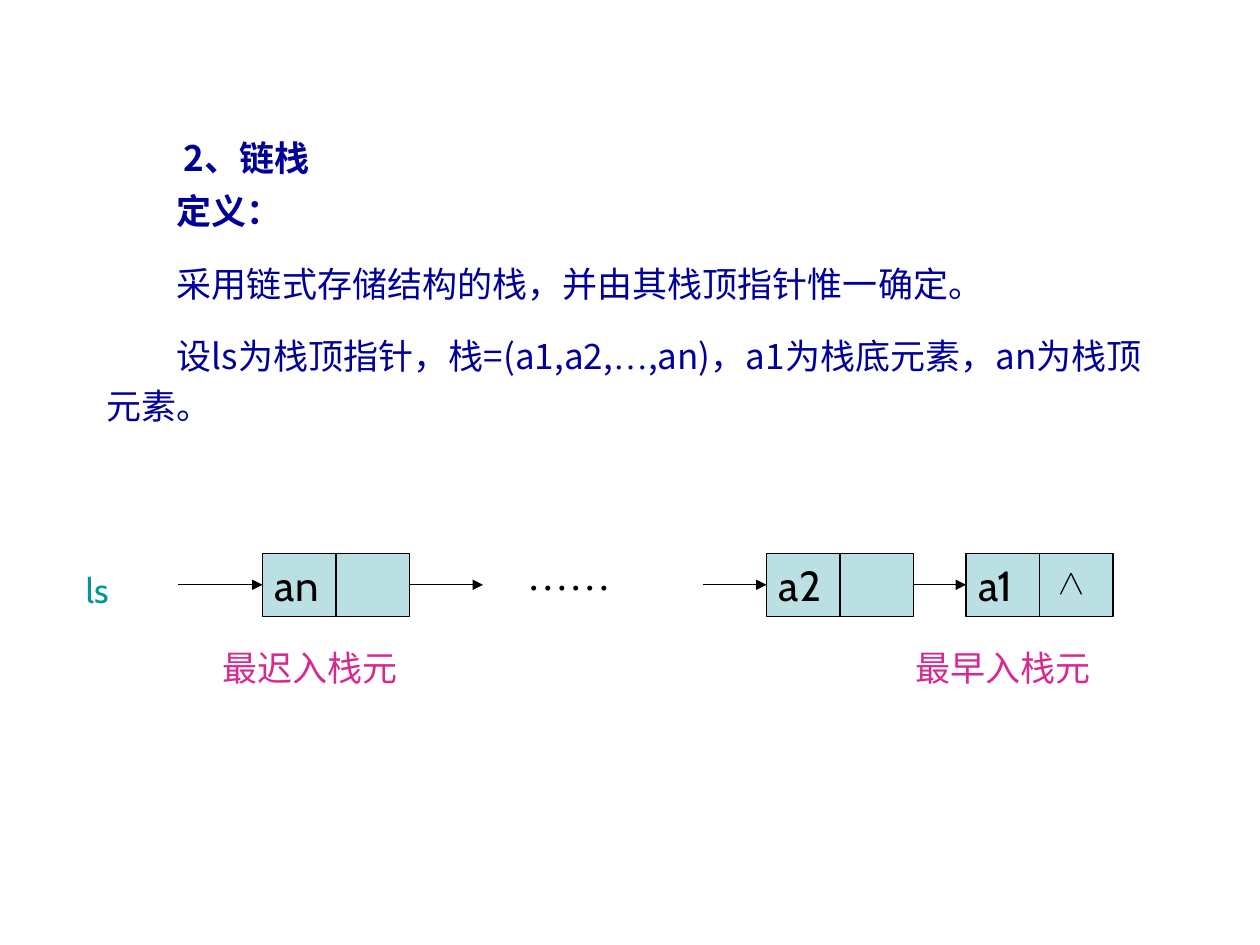
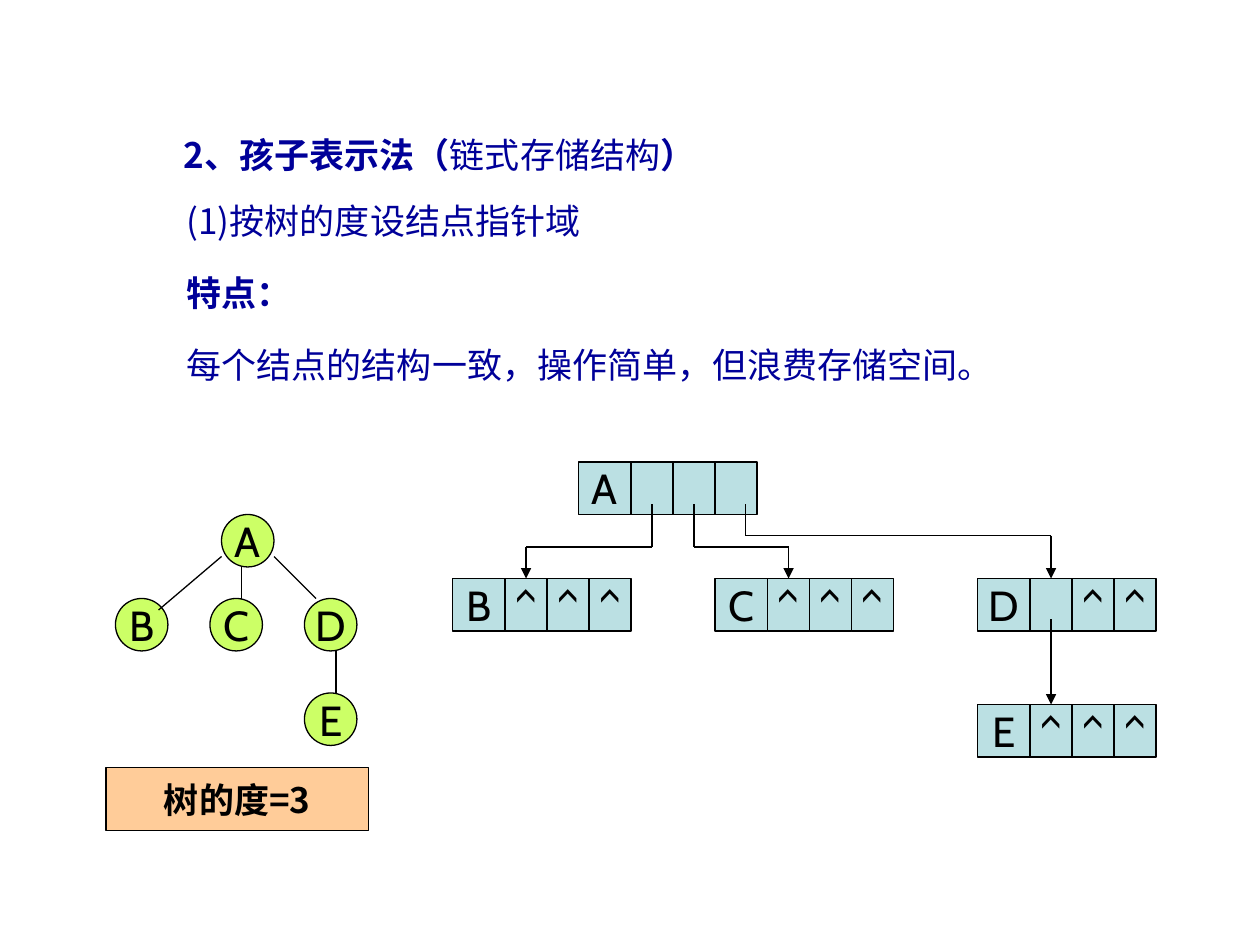
from dataclasses import dataclass

from lxml import etree
from pptx import Presentation
from pptx.dml.color import RGBColor
from pptx.enum.shapes import MSO_CONNECTOR, MSO_SHAPE
from pptx.enum.text import MSO_ANCHOR, MSO_AUTO_SIZE, PP_ALIGN
from pptx.oxml.ns import qn
from pptx.util import Inches, Pt

RECTANGLE, OVAL = MSO_SHAPE.RECTANGLE, MSO_SHAPE.OVAL
STRAIGHT = MSO_CONNECTOR.STRAIGHT
TOP, MIDDLE = MSO_ANCHOR.TOP, MSO_ANCHOR.MIDDLE
LEFT, CENTER = PP_ALIGN.LEFT, PP_ALIGN.CENTER
GROW = MSO_AUTO_SIZE.SHAPE_TO_FIT_TEXT
SIDE_TOP, SIDE_LEFT, SIDE_RIGHT = 0, 1, 3

SLIDE_WIDTH, SLIDE_HEIGHT = Inches(10), Inches(7.5)
UNIT = SLIDE_WIDTH // 120  # the grid has 120 columns and 90 rows
TITLE_ONLY = 5


@dataclass(frozen=True)
class Theme:
    text: str = "000099"
    ink: str = "000000"
    pointer: str = "009999"
    caption: str = "D62A90"
    cell: str = "BBE0E3"
    tree: str = "CCFF66"
    note: str = "FFCC99"
    body_size: int = 20
    node_size: int = 24
    line_width: float = 0.75
    space_before: float = 12.5
    body_font: str = "Noto Sans CJK SC"
    label_font: str = "Cabin"
    serif_font: str = "Times New Roman"


THEME = Theme()


def grid(*values):
    return [round(value * UNIT) for value in values]


# Text
def add_run(paragraph, text, size=THEME.body_size, font=THEME.body_font,
            color=THEME.text, bold=False):
    run = paragraph.add_run()
    run.text = text
    run.font.size = Pt(size)
    run.font.bold = bold
    run.font.color.rgb = RGBColor.from_string(color)
    run.font.name = font
    east_asian = etree.SubElement(run._r.get_or_add_rPr(), qn("a:ea"))
    east_asian.set("typeface", THEME.body_font)


def write_label(shape, text, align=LEFT, **style):
    frame = shape.text_frame
    frame.word_wrap = align == LEFT
    frame.vertical_anchor = MIDDLE
    paragraph = frame.paragraphs[0]
    paragraph.alignment = align
    add_run(paragraph, text, **style)


def add_label(slide, box, text, **style):
    write_label(slide.shapes.add_textbox(*grid(*box)), text, **style)


def add_titled_slide(presentation, box, runs):
    slide = presentation.slides.add_slide(presentation.slide_layouts[TITLE_ONLY])
    title = slide.shapes.title
    title.left, title.top, title.width, title.height = grid(*box)
    frame = title.text_frame
    frame.word_wrap = True
    frame.auto_size = GROW
    frame.vertical_anchor = MIDDLE
    paragraph = frame.paragraphs[0]
    paragraph.alignment = LEFT
    paragraph.line_spacing = 1.3
    for text, bold in runs:
        add_run(paragraph, text, bold=bold)
    return slide


def add_body(slide, box, paragraphs, indent_characters=0):
    """Each paragraph is a list of (text, style) runs."""
    frame = slide.shapes.add_textbox(*grid(*box)).text_frame
    frame.word_wrap = True
    frame.vertical_anchor = TOP
    for index, runs in enumerate(paragraphs):
        paragraph = frame.add_paragraph() if index else frame.paragraphs[0]
        paragraph.line_spacing = 1.2
        if index:
            paragraph.space_before = Pt(THEME.space_before)
        indent = Pt(THEME.body_size * indent_characters)
        paragraph._p.get_or_add_pPr().set("indent", str(indent))
        for text, style in runs:
            add_run(paragraph, text, **style)


# Shapes and lines
def add_node(slide, kind, box, fill, text="", align=CENTER, **style):
    shape = slide.shapes.add_shape(kind, *grid(*box))
    shape.shadow.inherit = False
    shape.fill.solid()
    shape.fill.fore_color.rgb = RGBColor.from_string(fill)
    shape.line.color.rgb = RGBColor.from_string(THEME.ink)
    shape.line.width = Pt(THEME.line_width)
    if text:
        style = {"size": THEME.node_size, "font": THEME.label_font,
                 "color": THEME.ink} | style
        write_label(shape, text, align, **style)
    return shape


def add_line(slide, start, end, arrow=False, begin_at=None, end_at=None):
    """begin_at and end_at are (shape, side) pairs to join."""
    connector = slide.shapes.add_connector(STRAIGHT, *grid(*start, *end))
    connector.line.color.rgb = RGBColor.from_string(THEME.ink)
    connector.line.width = Pt(THEME.line_width)
    if arrow:
        tail = etree.SubElement(connector.line._get_or_add_ln(), qn("a:tailEnd"))
        tail.set("type", "triangle")
    etree.SubElement(connector._element.spPr, qn("a:effectLst"))
    if begin_at:
        connector.begin_connect(*begin_at)
    if end_at:
        connector.end_connect(*end_at)


def add_list_node(slide, left, top, text):
    width, height = 14, 6
    node = add_node(slide, RECTANGLE, (left, top, width, height), THEME.cell, text, LEFT)
    middle = left + width / 2
    add_line(slide, (middle, top), (middle, top + height))
    return node


def add_record(slide, left, top, name, fields):
    """Draw a data cell and its pointer cells; return the first pointer cell."""
    height, field_width = 5, 4
    add_node(slide, RECTANGLE, (left, top, 5, height), THEME.cell, name)
    cells = [add_node(slide, RECTANGLE,
                      (left + 5 + index * field_width, top, field_width, height),
                      THEME.cell, text)
             for index, text in enumerate(fields)]
    return cells[0]


# Slides
def build_linked_stack(presentation):
    slide = add_titled_slide(presentation, (16.3, 11.2, 42.7, 6.4), [("2、链栈", True)])
    add_body(slide, (9, 16.7, 103.3, 26.2), [
        [("定义：", {"bold": True})],
        [("采用链式存储结构的栈，并由其栈顶指针惟一确定。", {})],
        [("设ls为栈顶指针，栈=(a1,a2,", {}),
         ("…", {"font": THEME.serif_font}),
         (",an)，a1为栈底元素，an为栈顶元素。", {})],
    ], indent_characters=2)

    # Chain of nodes
    top, axis = 52.7, 55.7
    newest, second, oldest = [add_list_node(slide, left, top, text)
                              for left, text in ((25, "an"), (73, "a2"), (92, "a1"))]
    for start, end, begin_at, end_at in (
            (17, 25, None, (newest, SIDE_LEFT)),
            (39, 46, (newest, SIDE_RIGHT), None),
            (67, 73, None, (second, SIDE_LEFT)),
            (87, 92, (second, SIDE_RIGHT), (oldest, SIDE_LEFT))):
        add_line(slide, (start, axis), (end, axis), True, begin_at, end_at)
    for foot in (101, 103):  # null mark
        add_line(slide, (102, 54.6), (foot, 56.6))

    # Labels
    add_label(slide, (7, 52.6, 9, 7), "ls", font=THEME.label_font, color=THEME.pointer)
    add_label(slide, (49, 51.6, 16, 6), "……", size=THEME.node_size,
              font=THEME.serif_font, color=THEME.ink)
    for left, text in ((20, "最迟入栈元"), (86, "最早入栈元")):
        add_label(slide, (left, 60.6, 26, 6), text,
                  font=THEME.label_font, color=THEME.caption)


def build_child_links(presentation):
    slide = add_titled_slide(presentation, (16.3, 10.9, 66.4, 6.4), [
        ("2、孩子表示法（", True), ("链式存储结构", False), ("）", True)])
    add_body(slide, (16.6, 17.6, 94.8, 21), [
        [("(1)按树的度设结点指针域", {})],
        [("特点：", {"bold": True})],
        [("每个结点的结构一致，操作简单，但浪费存储空间。", {})],
    ])

    # Tree
    for name, left, top in (("C", 20, 57), ("B", 11, 57), ("A", 21.1, 49),
                            ("D", 29, 57), ("E", 29, 66)):
        add_node(slide, OVAL, (left, top, 5, 5), THEME.tree, name)
    for start, end in (((21.1, 53), (15.1, 58.1)), ((23, 54), (23, 57)),
                       ((26.1, 53), (30.1, 57)), ((32, 62), (32, 66))):
        add_line(slide, start, end)
    add_node(slide, RECTANGLE, (10.1, 73.1, 25, 6), THEME.note, "树的度=3",
             size=THEME.body_size, font=THEME.body_font, bold=True)

    # Records
    child_top, leaf_top = 55.1, 67.1
    leaf = ["^"] * 3
    add_record(slide, 55.1, 44, "A", [""] * 3)
    children = [(left, add_record(slide, left, child_top, name, fields))
                for left, name, fields in ((43.1, "B", leaf), (68.1, "C", leaf),
                                           (93.1, "D", ["", "^", "^"]))]
    grandchild = add_record(slide, 93.1, leaf_top, "E", leaf)

    # Pointers
    for (left, cell), source, bend in zip(children, (62.1, 66.1, 71), (52.1, 52.1, 51)):
        target = left + 7
        add_line(slide, (source, 48), (source, bend))
        add_line(slide, (source, bend), (target, bend))
        add_line(slide, (target, bend), (target, child_top), True,
                 end_at=(cell, SIDE_TOP))
    add_line(slide, (100.1, 59), (100.1, leaf_top), True, end_at=(grandchild, SIDE_TOP))


def main():
    presentation = Presentation()
    presentation.slide_width, presentation.slide_height = SLIDE_WIDTH, SLIDE_HEIGHT
    build_linked_stack(presentation)
    build_child_links(presentation)
    presentation.save("out.pptx")


if __name__ == "__main__":
    main()
